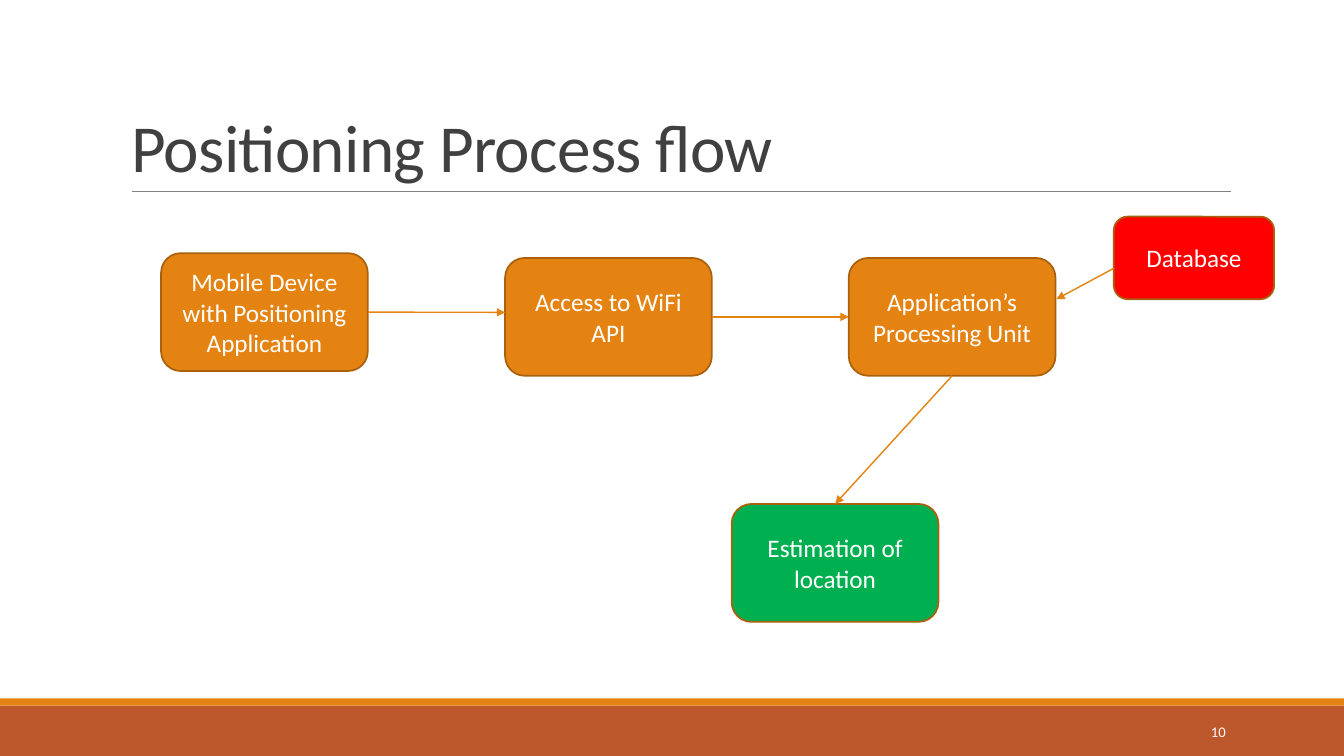
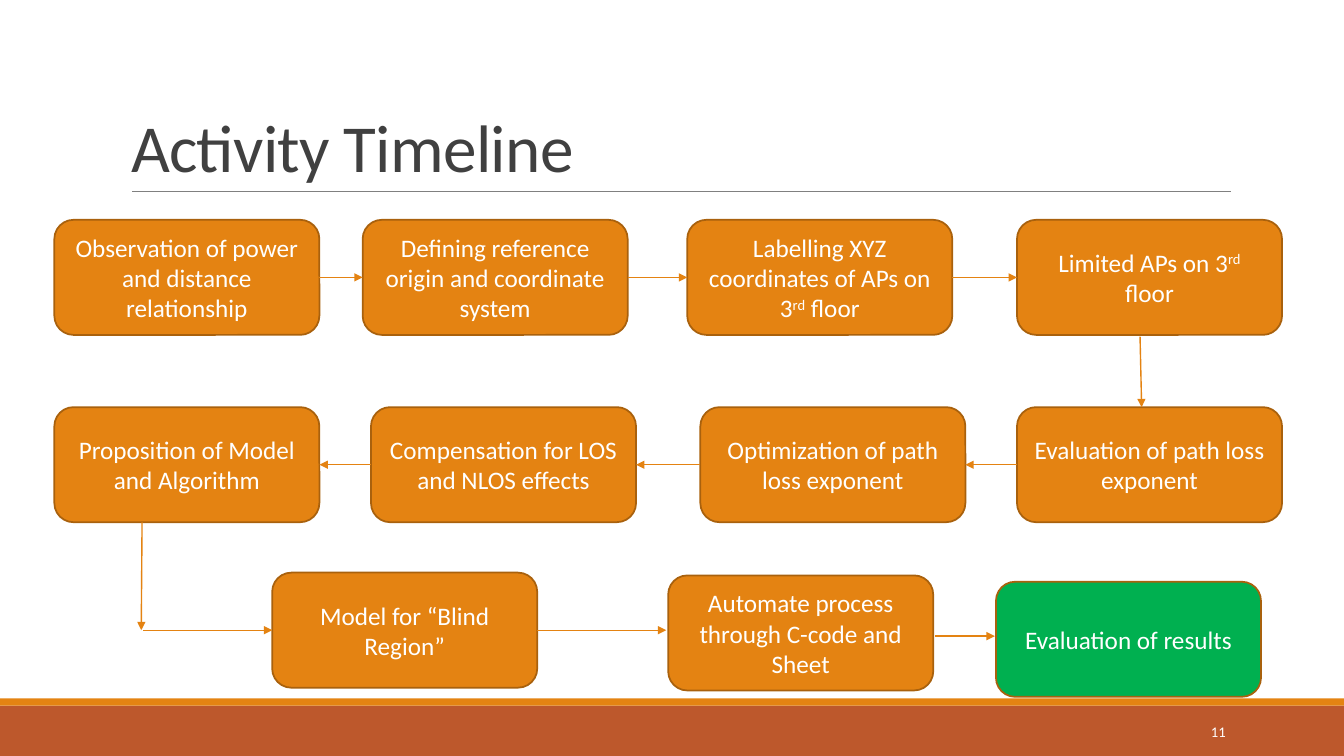
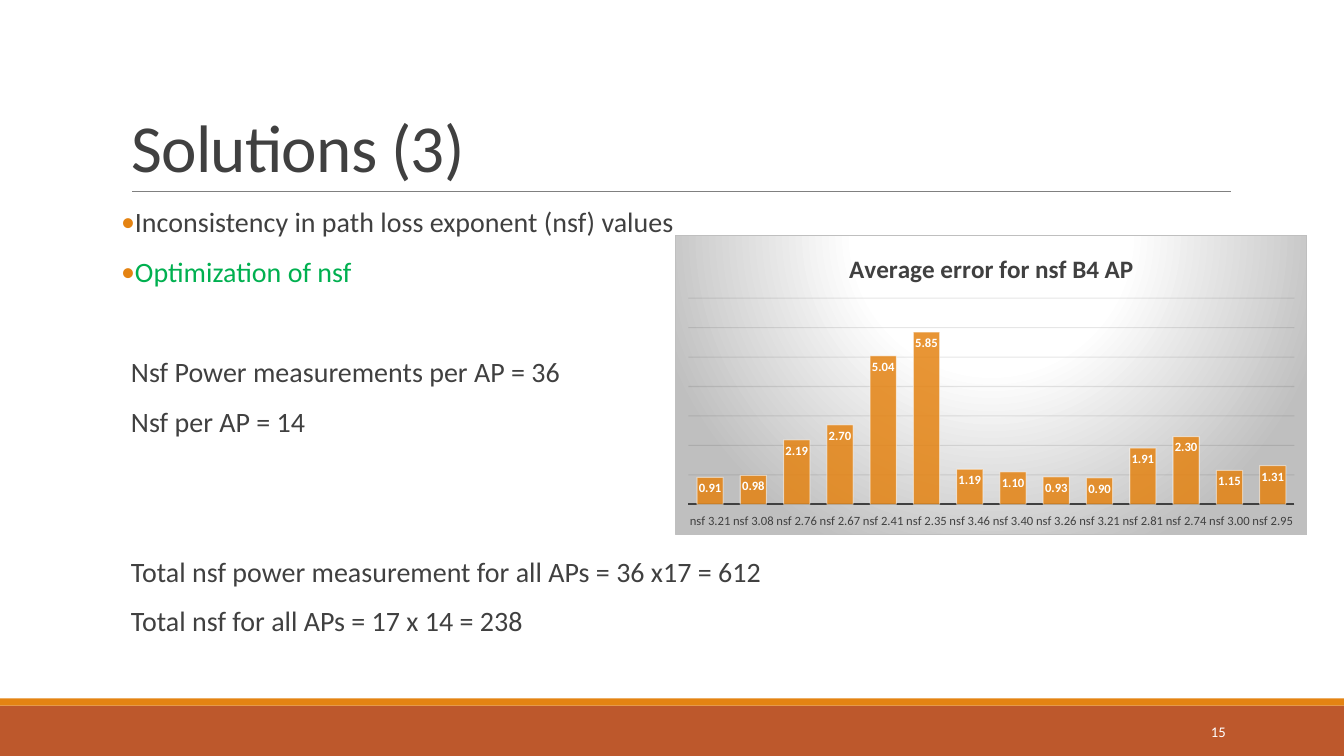
from lxml import etree
from pptx import Presentation
from pptx.chart.data import CategoryChartData
from pptx.dml.color import RGBColor
from pptx.enum.chart import XL_CHART_TYPE, XL_LABEL_POSITION, XL_TICK_LABEL_POSITION, XL_TICK_MARK
from pptx.enum.shapes import MSO_CONNECTOR, MSO_SHAPE
from pptx.enum.text import MSO_ANCHOR, MSO_AUTO_SIZE, PP_ALIGN
from pptx.oxml import parse_xml
from pptx.oxml.ns import nsdecls, qn
from pptx.util import Cm, Pt

RECT, ROUNDED = MSO_SHAPE.RECTANGLE, MSO_SHAPE.ROUNDED_RECTANGLE
STRAIGHT = MSO_CONNECTOR.STRAIGHT
LEFT, CENTER, RIGHT = PP_ALIGN.LEFT, PP_ALIGN.CENTER, PP_ALIGN.RIGHT
MIDDLE, BOTTOM = MSO_ANCHOR.MIDDLE, MSO_ANCHOR.BOTTOM
NO_FIT = MSO_AUTO_SIZE.NONE
SITE_TOP, SITE_LEFT, SITE_BOTTOM, SITE_RIGHT = range(4)


class Theme:
    font = "Calibri"
    orange, rust, brown = "E48312", "BD582C", "A9610D"
    green, red, white = "00B050", "FF0000", "FFFFFF"
    text, rule, silver, grid = "404040", "808080", "BFBFBF", "0D0D0D"
    title_size, body_size, box_size, number_size = 48, 20, 18, 10.5
    chart_title_size, chart_size, label_size = 18, 10, 9


def style(font, size, color, bold=False):
    font.name, font.size, font.bold = Theme.font, Pt(size), bold
    font.color.rgb = RGBColor.from_string(color)


def paint(shape, fill=None, line=None, width=1):
    """Colour a shape or connector and take its shadow away."""
    if fill:
        shape.fill.solid()
        shape.fill.fore_color.rgb = RGBColor.from_string(fill)
        shape.shadow.inherit = False
    if line:
        shape.line.color.rgb = RGBColor.from_string(line)
        shape.line.width = Pt(width)
    else:
        shape.line.fill.background()
    if not fill:
        etree.SubElement(shape.element.spPr, qn("a:effectLst"))


prs = Presentation()
prs.slide_width, prs.slide_height = Cm(33.87), Cm(19.05)

# Shared frame: bands, title, rule and number
TITLE_ONLY, TITLE_AND_BODY = prs.slide_layouts[5], prs.slide_layouts[1]
slides = []
for title, number, layout in [
    ("Positioning Process flow", 10, TITLE_ONLY),
    ("Activity Timeline", 11, TITLE_ONLY),
    ("Solutions (3)", 15, TITLE_AND_BODY),
]:
    s = prs.slides.add_slide(layout)
    slides.append(s)
    for top, height, color in [(17.78, 1.27, Theme.rust), (17.6, 0.18, Theme.orange)]:
        band = s.shapes.add_shape(RECT, 0, Cm(top), prs.slide_width, Cm(height))
        paint(band, color)
    rule = s.shapes.add_connector(STRAIGHT, Cm(3.33), Cm(4.83), Cm(31.01), Cm(4.83))
    paint(rule, line=Theme.rule, width=0.5)

    sp = s.shapes.title
    sp.left, sp.top, sp.width, sp.height = Cm(3.05), Cm(0.79), Cm(27.94), Cm(4.04)
    tf = sp.text_frame
    tf.text = title
    tf.auto_size, tf.vertical_anchor = NO_FIT, BOTTOM
    p = tf.paragraphs[0]
    p.alignment, p.line_spacing = LEFT, 0.85
    style(p.runs[0].font, Theme.title_size, Theme.text)
    p.runs[0].font._element.set("spc", "-50")

    sp = s.shapes.add_textbox(Cm(27.51), Cm(17.93), Cm(3.63), Cm(1.02))
    tf = sp.text_frame
    tf.text = str(number)
    tf.word_wrap, tf.vertical_anchor = True, MIDDLE
    tf.paragraphs[0].alignment = RIGHT
    style(tf.paragraphs[0].runs[0].font, Theme.number_size, Theme.white)

# Flow content: boxes are name: (text, left, top, fill[, width, height]), ^ marks superscript;
# an arrow end is (box name, site) or a point in cm
process_boxes = {
    "device": ("Mobile Device with Positioning Application", 4.06, 6.38, Theme.orange),
    "api": ("Access to WiFi API", 12.73, 6.5, Theme.orange),
    "unit": ("Application’s Processing Unit", 21.39, 6.5, Theme.orange),
    "database": ("Database", 28.07, 5.46, Theme.red, 4.04, 2.08),
    "location": ("Estimation of location", 18.44, 12.7, Theme.green),
}
process_arrows = [
    (("device", SITE_RIGHT), (12.73, 7.87)),
    (("api", SITE_RIGHT), ("unit", SITE_LEFT)),
    (("unit", SITE_BOTTOM), ("location", SITE_TOP)),
    ((28.07, 6.76), (26.62, 7.54)),
]
ROW_1, ROW_2 = 5.54, 10.26
timeline_boxes = {
    "observe": ("Observation of power and distance relationship", 1.37, ROW_1, Theme.orange),
    "origin": ("Defining reference origin and coordinate system", 9.14, ROW_1, Theme.orange),
    "label": ("Labelling XYZ coordinates of APs on 3^rd^ floor", 17.32, ROW_1, Theme.orange),
    "limit": ("Limited APs on 3^rd^ floor", 25.63, ROW_1, Theme.orange),
    "evaluate": ("Evaluation of path loss exponent", 25.63, ROW_2, Theme.orange),
    "optimize": ("Optimization of path loss exponent", 17.65, ROW_2, Theme.orange),
    "compensate": ("Compensation for LOS and NLOS effects", 9.35, ROW_2, Theme.orange),
    "propose": ("Proposition of Model and Algorithm", 1.37, ROW_2, Theme.orange),
    "blind": ("Model for “Blind Region”", 6.86, 14.43, Theme.orange),
    "automate": ("Automate process through C-code and Sheet", 16.84, 14.5, Theme.orange),
    "results": ("Evaluation of results", 25.1, 14.66, Theme.green),
}
timeline_arrows = [
    (("observe", SITE_RIGHT), ("origin", SITE_LEFT)),
    (("origin", SITE_RIGHT), ("label", SITE_LEFT)),
    (("label", SITE_RIGHT), ("limit", SITE_LEFT)),
    ((28.73, 8.48), (28.77, 10.26)),
    (("evaluate", SITE_LEFT), ("optimize", SITE_RIGHT)),
    (("optimize", SITE_LEFT), ("compensate", SITE_RIGHT)),
    (("compensate", SITE_LEFT), ("propose", SITE_RIGHT)),
    ((3.58, 13.16), (3.56, 15.88)),
    ((3.61, 15.88), ("blind", SITE_LEFT)),
    (("blind", SITE_RIGHT), (16.79, 15.88)),
    ((23.57, 16.03), (25.07, 16.03)),
]

# Slides 1 and 2: flow diagrams
for s, boxes, arrows, box_size in [
    (slides[0], process_boxes, process_arrows, (5.21, 2.97)),
    (slides[1], timeline_boxes, timeline_arrows, (6.68, 2.9)),
]:
    shapes = {}
    for name, (text, left, top, fill, *own_size) in boxes.items():
        width, height = own_size or box_size
        sp = s.shapes.add_shape(ROUNDED, Cm(left), Cm(top), Cm(width), Cm(height))
        paint(sp, fill, Theme.brown, 1.25)
        shapes[name] = sp
        tf = sp.text_frame
        tf.word_wrap, tf.vertical_anchor = True, MIDDLE
        p = tf.paragraphs[0]
        p.alignment = CENTER
        for i, part in enumerate(text.split("^")):
            r = p.add_run()
            r.text = part
            style(r.font, Theme.box_size, Theme.white)
            if i % 2:
                r.font._element.set("baseline", "30000")

    for start, end in arrows:
        points = [(0, 0) if e[0] in shapes else (Cm(e[0]), Cm(e[1])) for e in (start, end)]
        arrow = s.shapes.add_connector(STRAIGHT, *points[0], *points[1])
        if start[0] in shapes:
            arrow.begin_connect(shapes[start[0]], start[1])
        if end[0] in shapes:
            arrow.end_connect(shapes[end[0]], end[1])
        paint(arrow, line=Theme.orange)
        etree.SubElement(arrow.line._get_or_add_ln(), qn("a:tailEnd"), type="triangle")

# Slide 3: list, as (text, colour, bulleted, space before)
s = slides[2]
lines = [
    ("Inconsistency in path loss exponent (nsf) values", Theme.text, True, 0),
    ("Optimization of nsf", Theme.green, True, 12),
    ("Nsf Power measurements per AP = 36", Theme.text, False, 48),
    ("Nsf per AP = 14", Theme.text, False, 12),
    ("Total nsf power measurement for all APs = 36 x17 = 612", Theme.text, False, 83),
    ("Total nsf for all APs = 17 x 14 = 238", Theme.text, False, 12),
]
body = s.placeholders[1]
body.left, body.top, body.width, body.height = Cm(3.05), Cm(5.13), Cm(27.94), Cm(11.18)
tf = body.text_frame
tf.text = "\n".join(line[0] for line in lines)
tf.auto_size = NO_FIT
tf.margin_left = tf.margin_right = 0
for p, (_, color, bulleted, before) in zip(tf.paragraphs, lines):
    pPr = p._p.get_or_add_pPr()
    pPr.set("marL", str(Cm(0.25)))
    pPr.set("indent", str(-Cm(0.25) if bulleted else 0))
    if bulleted:
        bullet_color = etree.SubElement(pPr, qn("a:buClr"))
        etree.SubElement(bullet_color, qn("a:srgbClr"), val=Theme.orange)
        etree.SubElement(pPr, qn("a:buFont"), typeface=Theme.font)
        etree.SubElement(pPr, qn("a:buChar"), char="•")
    else:
        etree.SubElement(pPr, qn("a:buNone"))
    p.line_spacing, p.space_before, p.space_after = 0.9, Pt(before), Pt(2)
    style(p.runs[0].font, Theme.body_size, color)

# Slide 3: error chart
errors = [
    ("3.21", 0.91), ("3.08", 0.98), ("2.76", 2.19), ("2.67", 2.7), ("2.41", 5.04),
    ("2.35", 5.85), ("3.46", 1.19), ("3.40", 1.1), ("3.26", 0.93), ("3.21", 0.9),
    ("2.81", 1.91), ("2.74", 2.3), ("3.00", 1.15), ("2.95", 1.31),
]
data = CategoryChartData(number_format="0.00")
data.categories = [f"nsf {exponent}" for exponent, _ in errors]
data.add_series("Series 1", [error for _, error in errors])
chart = s.shapes.add_chart(
    XL_CHART_TYPE.COLUMN_CLUSTERED, Cm(17.02), Cm(5.92), Cm(15.93), Cm(7.57), data
).chart
style(chart.font, Theme.chart_size, Theme.text)
chart.has_legend = False
chart.has_title = True
tf = chart.chart_title.text_frame
tf.text = "Average error for nsf B4 AP"
style(tf.paragraphs[0].runs[0].font, Theme.chart_title_size, Theme.text, True)

axis = chart.category_axis
axis.major_tick_mark = XL_TICK_MARK.NONE
axis.tick_label_position = XL_TICK_LABEL_POSITION.LOW
style(axis.tick_labels.font, Theme.label_size, Theme.text)
axis.format.line.color.rgb = RGBColor.from_string(Theme.text)
axis.format.line.width = Pt(1.5)

axis = chart.value_axis
axis.visible = False
axis.minimum_scale, axis.maximum_scale, axis.major_unit = 0, 7, 1
axis.has_major_gridlines = True
axis.major_gridlines.format.line.color.rgb = RGBColor.from_string(Theme.grid)
axis.major_gridlines.format.line.width = Pt(0.75)

plot = chart.plots[0]
plot.gap_width, plot.vary_by_categories = 65, False
bars = plot.series[0]
bars.format.fill.solid()
bars.format.fill.fore_color.rgb = RGBColor.from_string(Theme.orange)
bars.format.line.color.rgb = RGBColor.from_string(Theme.white)
bars.format.line.width = Pt(0.75)
plot.has_data_labels = True
labels = plot.data_labels
labels.show_value, labels.position = True, XL_LABEL_POSITION.INSIDE_END
labels.number_format, labels.number_format_is_linked = "0.00", False
style(labels.font, Theme.label_size, Theme.white, True)

# Transparency and radial background of the chart
for place, percent in [
    ("c:majorGridlines/c:spPr/a:ln", 10),
    ("c:ser/c:spPr", 85),
    ("c:ser/c:spPr/a:ln", 50),
]:
    color = chart.element.xpath(f"//{place}/a:solidFill/a:srgbClr")[0]
    etree.SubElement(color, qn("a:alpha"), val=str(percent * 1000))
stops = "".join(
    f'<a:gs pos="{pos * 1000}"><a:srgbClr val="{color}"/></a:gs>'
    for pos, color in [(0, Theme.white), (39, Theme.white), (100, Theme.silver)]
)
background = parse_xml(
    f'<c:spPr {nsdecls("c", "a")}><a:gradFill><a:gsLst>{stops}</a:gsLst>'
    '<a:path path="circle"><a:fillToRect l="50000" t="-80000" r="50000" b="180000"/></a:path>'
    f'</a:gradFill><a:ln w="{Pt(0.75)}"><a:solidFill><a:srgbClr val="{Theme.silver}"/>'
    "</a:solidFill></a:ln></c:spPr>"
)
chart.element.find(qn("c:chart")).addnext(background)

prs.save("out.pptx")
